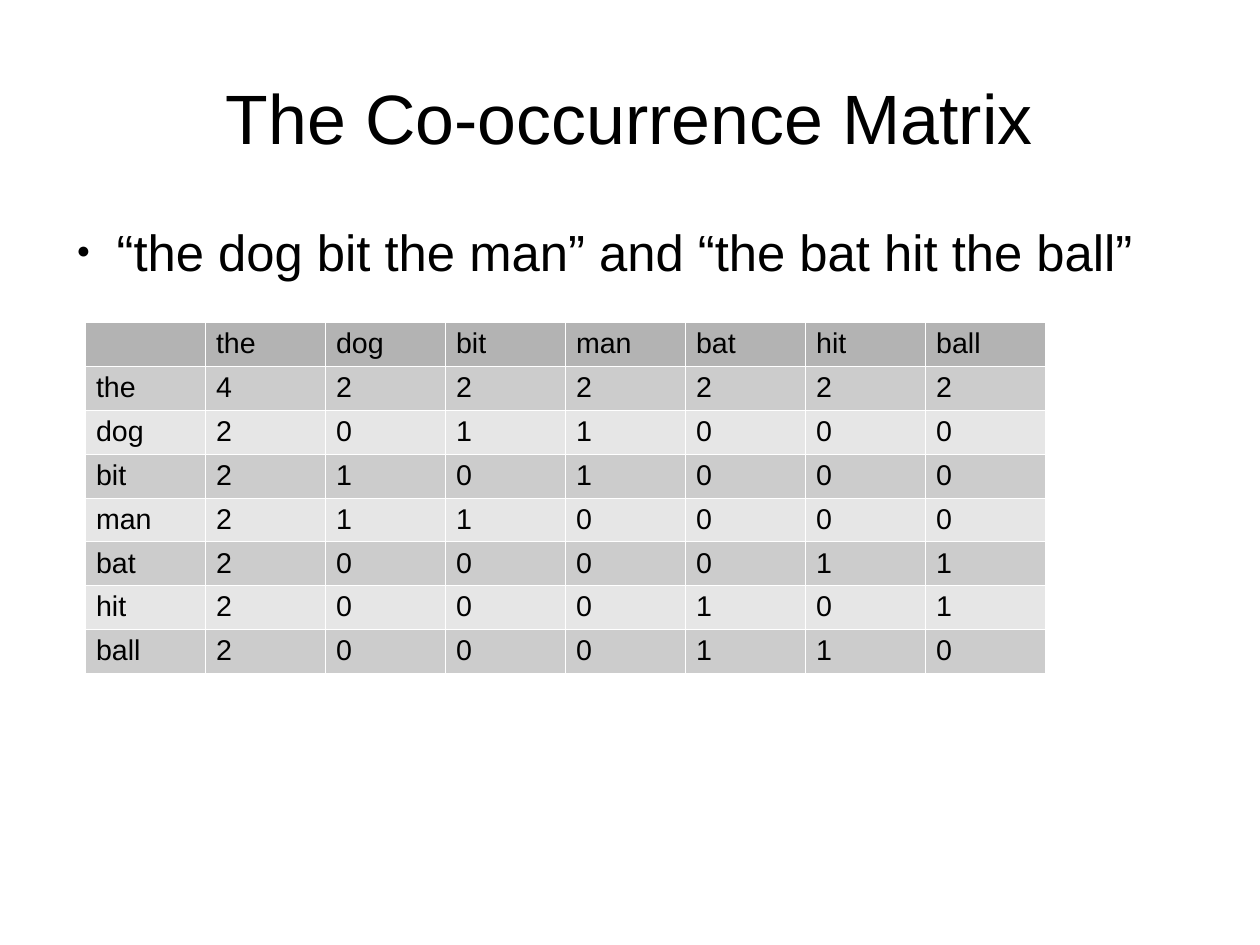
from lxml import etree
from pptx import Presentation
from pptx.dml.color import RGBColor
from pptx.enum.text import MSO_ANCHOR as ANCHOR, PP_ALIGN as ALIGN
from pptx.oxml.ns import qn
from pptx.util import Inches, Pt


def rgb(color):
    return RGBColor.from_string(color)


def write(tf, text, size, align=ALIGN.LEFT, color="000000", font="Arial"):
    p = tf.paragraphs[0]
    p.alignment = align
    r = p.add_run()
    r.text = text
    r.font.size = Pt(size)
    r.font.name = font
    r.font.bold = False
    r.font.color.rgb = rgb(color)
    return p


prs = Presentation()
prs.slide_width, prs.slide_height = Inches(28 / 2.54), Inches(21 / 2.54)
s = prs.slides.add_slide(prs.slide_layouts[6])

frames = []
for top, height, anchor in [(0.33, 1.38, ANCHOR.MIDDLE), (1.93, 4.79, ANCHOR.TOP)]:
    box = s.shapes.add_textbox(Inches(0.55), Inches(top), Inches(9.92), Inches(height))
    tf = box.text_frame
    tf.word_wrap = True
    tf.vertical_anchor = anchor
    tf.margin_left = tf.margin_right = tf.margin_top = tf.margin_bottom = 0
    frames.append(tf)
title, body = frames

write(title, "The Co-occurrence Matrix", 44, ALIGN.CENTER)
p = write(body, "“the dog bit the man” and “the bat hit the ball”", 32)
p.space_after = Pt(14.2)
pPr = p._p.get_or_add_pPr()
pPr.set("marL", str(Inches(0.47)))
pPr.set("indent", str(Inches(-0.35)))
bullet_color = etree.SubElement(pPr, qn("a:buClr"))
etree.SubElement(bullet_color, qn("a:srgbClr"), val="000000")
etree.SubElement(pPr, qn("a:buSzPct"), val="45000")
etree.SubElement(pPr, qn("a:buFont"), typeface="Arial")
etree.SubElement(pPr, qn("a:buChar"), char="●")

words = ["the", "dog", "bit", "man", "bat", "hit", "ball"]
counts = [
    [4, 2, 2, 2, 2, 2, 2],
    [2, 0, 1, 1, 0, 0, 0],
    [2, 1, 0, 1, 0, 0, 0],
    [2, 1, 1, 0, 0, 0, 0],
    [2, 0, 0, 0, 0, 1, 1],
    [2, 0, 0, 0, 1, 0, 1],
    [2, 0, 0, 0, 1, 1, 0],
]
rows = [["", *words]] + [[word, *line] for word, line in zip(words, counts)]

n = len(rows)
table = s.shapes.add_table(
    n, n, Inches(0.74), Inches(2.82), Inches(8.4), Inches(3.07)
).table
table.first_row = table.horz_banding = False

for i, row in enumerate(rows):
    fill = "B3B3B3" if i == 0 else ("E6E6E6", "CCCCCC")[i % 2]
    for j, value in enumerate(row):
        cell = table.cell(i, j)
        cell.margin_bottom = Inches(0.02)
        cell.fill.solid()
        cell.fill.fore_color.rgb = rgb(fill)
        if value != "":
            write(cell.text_frame, str(value), 18)
        tcPr = cell._tc.get_or_add_tcPr()
        for k, side in enumerate(["lnL", "lnR", "lnT", "lnB"]):
            line = etree.Element(qn(f"a:{side}"), w=str(Pt(0.06)))
            solid = etree.SubElement(line, qn("a:solidFill"))
            etree.SubElement(solid, qn("a:srgbClr"), val="FFFFFF")
            tcPr.insert(k, line)

prs.save("out.pptx")
